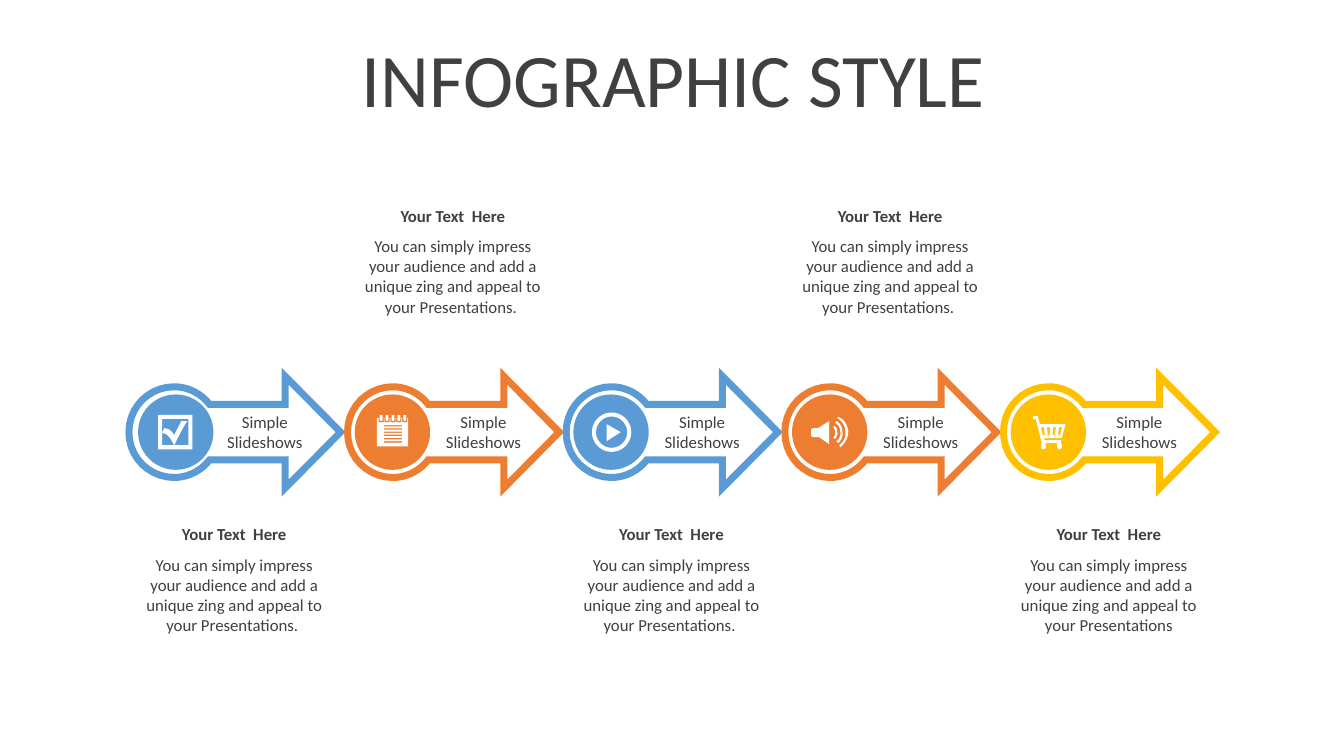
from lxml.etree import SubElement
from pptx import Presentation
from pptx.dml.color import RGBColor
from pptx.enum.shapes import MSO_SHAPE
from pptx.enum.text import MSO_ANCHOR, MSO_AUTO_SIZE, PP_ALIGN
from pptx.oxml.ns import qn
from pptx.util import Cm, Pt

BLUE = RGBColor(0x5B, 0x9B, 0xD5)
ORANGE = RGBColor(0xED, 0x7D, 0x31)
GOLD = RGBColor(0xFF, 0xC0, 0x00)
WHITE = RGBColor(0xFF, 0xFF, 0xFF)
DARK = RGBColor(0x40, 0x40, 0x40)

TITLE = "INFOGRAPHIC STYLE"
LABEL = "Simple Slideshows"
HEADING = "Your Text  Here"
BODY = ("You can simply impress your audience and add a unique zing "
        "and appeal to your Presentations")

LEFT, PITCH, AXIS = 3.25, 5.51, 10.89
DISC = 1.9
TOP_ROW, BOTTOM_ROW = 5.05, 13.08
GRID = 2.54 / 100
CURVE_STEPS = 10


def rect(x1, y1, x2, y2):
    return [(x1, y1), (x2, y1), (x2, y2), (x1, y2)]


def circle(cx, r):
    k = 0.55 * r
    return [(cx, -r),
            (cx + k, -r, cx + r, -k, cx + r, 0),
            (cx + r, k, cx + k, r, cx, r),
            (cx - k, r, cx - r, k, cx - r, 0),
            (cx - r, -k, cx - k, -r, cx, -r)]


def tab(cx, half, top, bottom):
    l, r = cx - half, cx + half
    return [(l, top), (l, bottom - 1), (l, bottom, r, bottom, r, bottom - 1),
            (r, top)]


# Each contour lists line points (x, y) and Bezier points (x1, y1, x2, y2, x, y).
ARROW = [[(155, -55.5), (210, 0), (155, 55.5), (155, 27.5), (80, 27.5),
          (72, 38, 59, 45, 45, 45), (20, 45, 0, 25, 0, 0),
          (0, -25, 20, -45, 45, -45), (59, -45, 72, -38, 80, -27.5),
          (155, -27.5)]]

CHECK = [rect(29, -17, 63, 17),
         [(33, -13), (33, 13), (45, 13), (42, 8, 39, 1, 33, 1), (35, -4),
          (41, -3, 42, -1, 45, 3), (47, -2, 49, -5, 52, -11), (58, -11),
          (53, -4, 49, 5, 45, 13), (59, 13), (59, -13)]]

RINGS = [33.3 + 5.85 * i for i in range(5)]
NOTEPAD = ([rect(29, -14, 60, 14)]
           + [rect(36, -7 + 3.2 * i, 54, -5.6 + 3.2 * i) for i in range(6)]
           + [tab(x, 2.6, -14, -9.5) for x in RINGS]
           + [tab(x, 1.4, -17, -11) for x in RINGS])

PLAY = [[(40, -8), (54, 0), (40, 9)], circle(45, 15.5), circle(45, 19.5)]

SPEAKER = [
    [(49, -6), (51, -5, 52, -3, 52, 0), (53, 2, 51, 5, 50, 7), (48, 5),
     (50, 4, 50, 2, 50, 0), (50, -2, 49, -4, 48, -5)],
    [(51, -11), (55, -9, 57, -5, 57, -1), (58, 4, 56, 8, 53, 11), (51, 9),
     (54, 7, 56, 3, 55, -1), (55, -4, 53, -8, 50, -9)],
    [(53, -15), (59, -13, 62, -7, 63, -1), (63, 5, 60, 11, 55, 15), (54, 13),
     (58, 10, 61, 5, 60, -1), (60, -6, 57, -11, 52, -14)],
    [(44, -11), (44, 12), (34, 5), (29, 5), (27, 5, 26, 4, 26, 3), (26, -2),
     (26, -3, 27, -4, 29, -4), (33, -4)],
]

CART = [
    [(55, -5), (54, 3), (56, 3), (58, -5)],
    [(49, -5), (49, 3), (51, 3), (52, -5)],
    [(43, -5), (44, 3), (46, 3), (46, -5)],
    [(37, -5), (39, 3), (41, 3), (40, -5)],
    [(34, -16), (36, -8), (60, -8), (61, -8, 62, -7, 61, -6), (58, 5),
     (58, 5, 58, 6, 57, 6), (40, 6), (41, 8), (57, 8), (57, 11),
     (58, 12, 58, 13, 58, 14), (58, 15, 57, 17, 56, 17),
     (54, 17, 53, 15, 53, 14), (53, 13, 53, 12, 54, 11), (41, 11),
     (42, 12, 42, 13, 42, 14), (42, 15, 41, 17, 40, 17),
     (38, 17, 37, 15, 37, 14), (37, 13, 37, 12, 38, 11), (32, -13),
     (29, -13), (29, -16), (33, -16)],
]

STEPS = [
    (BLUE, CHECK, 0.23, BOTTOM_ROW, BODY + ". "),
    (ORANGE, NOTEPAD, 0.18, TOP_ROW, BODY + ". "),
    (BLUE, PLAY, 0.18, BOTTOM_ROW, BODY + ". "),
    (ORANGE, SPEAKER, 0.18, TOP_ROW, BODY + ". "),
    (GOLD, CART, 0.18, BOTTOM_ROW, BODY),
]


def flatten(contour):
    points = []
    for node in contour:
        if len(node) == 2:
            points.append(node)
            continue
        x0, y0 = points[-1]
        x1, y1, x2, y2, x3, y3 = node
        for step in range(1, CURVE_STEPS + 1):
            t = step / CURVE_STEPS
            a, b, c, d = (1 - t) ** 3, 3 * t * (1 - t) ** 2, 3 * t * t * (1 - t), t ** 3
            points.append((a * x0 + b * x1 + c * x2 + d * x3,
                           a * y0 + b * y1 + c * y2 + d * y3))
    return points


def draw(s, contours, x):
    fb = None
    for contour in contours:
        pts = [(Cm(x + px * GRID), Cm(AXIS + py * GRID))
               for px, py in flatten(contour)]
        if fb is None:
            fb = s.shapes.build_freeform(*pts[0])
        else:
            fb.move_to(*pts[0])
        fb.add_line_segments(pts[1:], close=True)
    sp = fb.convert_to_shape()
    paint(sp, WHITE)
    return sp


def paint(sp, color):
    sp.shadow.inherit = False
    sp.fill.solid()
    sp.fill.fore_color.rgb = color
    sp.line.fill.background()


def write(tf, text, size=12, bold=False, anchor=MSO_ANCHOR.TOP,
          fit=MSO_AUTO_SIZE.SHAPE_TO_FIT_TEXT):
    tf.word_wrap = True
    tf.auto_size = fit
    tf.vertical_anchor = anchor
    p = tf.paragraphs[0]
    p.alignment = PP_ALIGN.CENTER
    r = p.add_run()
    r.text = text
    r.font.name = "Calibri"
    r.font.size = Pt(size)
    r.font.bold = bold
    r.font.color.rgb = DARK


def add_text(s, x, y, w, h, text, **fmt):
    sp = s.shapes.add_textbox(Cm(x), Cm(y), Cm(w), Cm(h))
    write(sp.text_frame, text, **fmt)


def add_step(s, x, color, icon, inset, row, body):
    sp = draw(s, ARROW, x)
    sp.line.color.rgb = color
    sp.line.width = Pt(5)
    SubElement(sp.line._get_or_add_ln(), qn("a:miter"), lim="800000")
    sp = s.shapes.add_shape(MSO_SHAPE.OVAL, Cm(x + inset), Cm(AXIS - DISC / 2),
                            Cm(DISC), Cm(DISC))
    paint(sp, color)
    draw(s, icon, x)
    add_text(s, x + 2.08, AXIS - 0.65, 2.69, 1.28, LABEL, anchor=MSO_ANCHOR.MIDDLE)
    add_text(s, x + 0.13, row, 5.05, 0.77, HEADING, bold=True)
    add_text(s, x + 0.13, row + 0.77, 5.05, 2.82, body)


def main():
    prs = Presentation()
    prs.slide_width, prs.slide_height = Cm(33.87), Cm(19.05)
    s = prs.slides.add_slide(prs.slide_layouts[5])
    title = s.shapes.title
    title.left, title.top, title.width, title.height = Cm(0.89), Cm(0.94), Cm(32.16), Cm(2.01)
    write(title.text_frame, TITLE, size=54, anchor=MSO_ANCHOR.MIDDLE,
          fit=MSO_AUTO_SIZE.NONE)
    for i, step in enumerate(STEPS):
        add_step(s, LEFT + i * PITCH, *step)
    prs.save("out.pptx")


if __name__ == "__main__":
    main()
